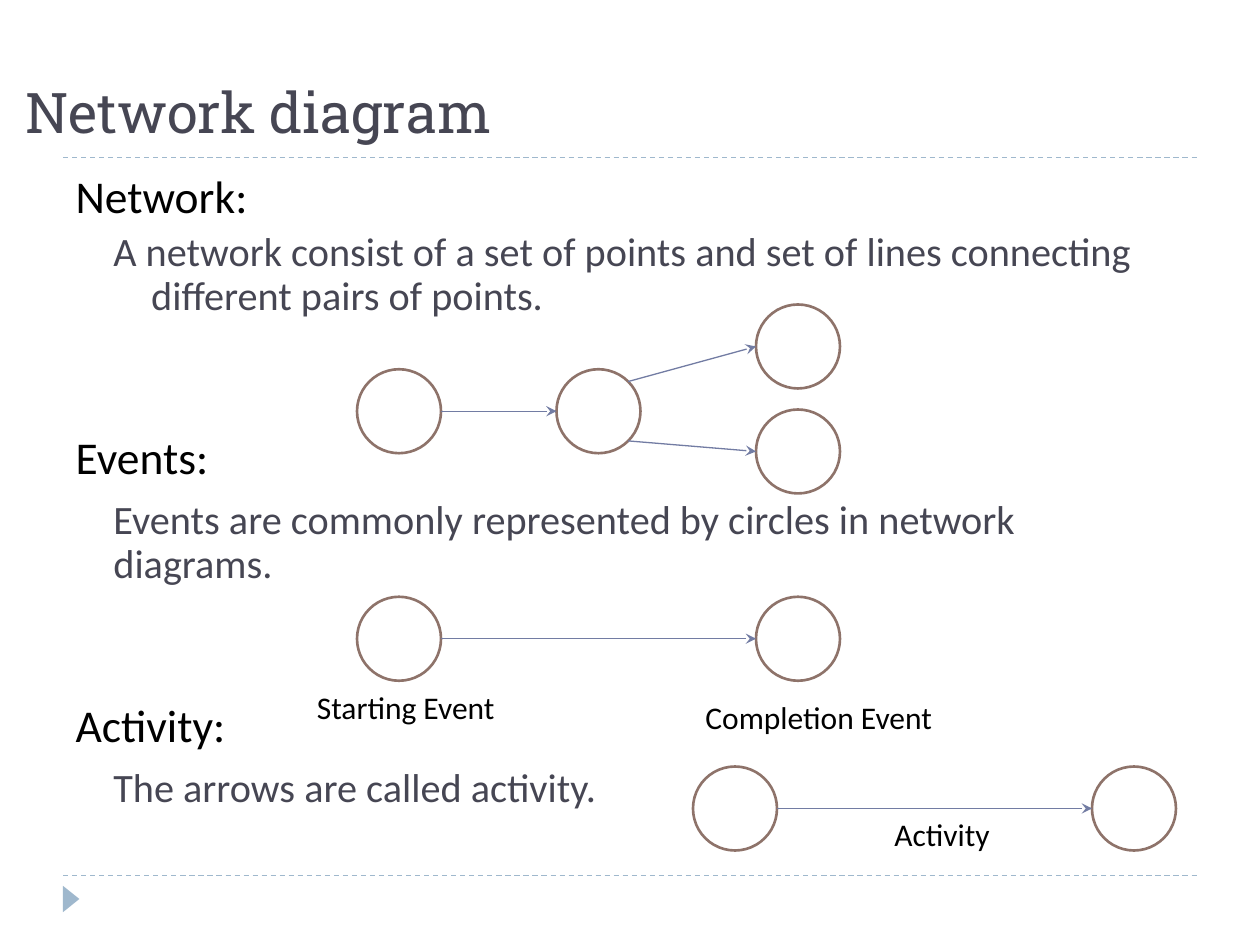
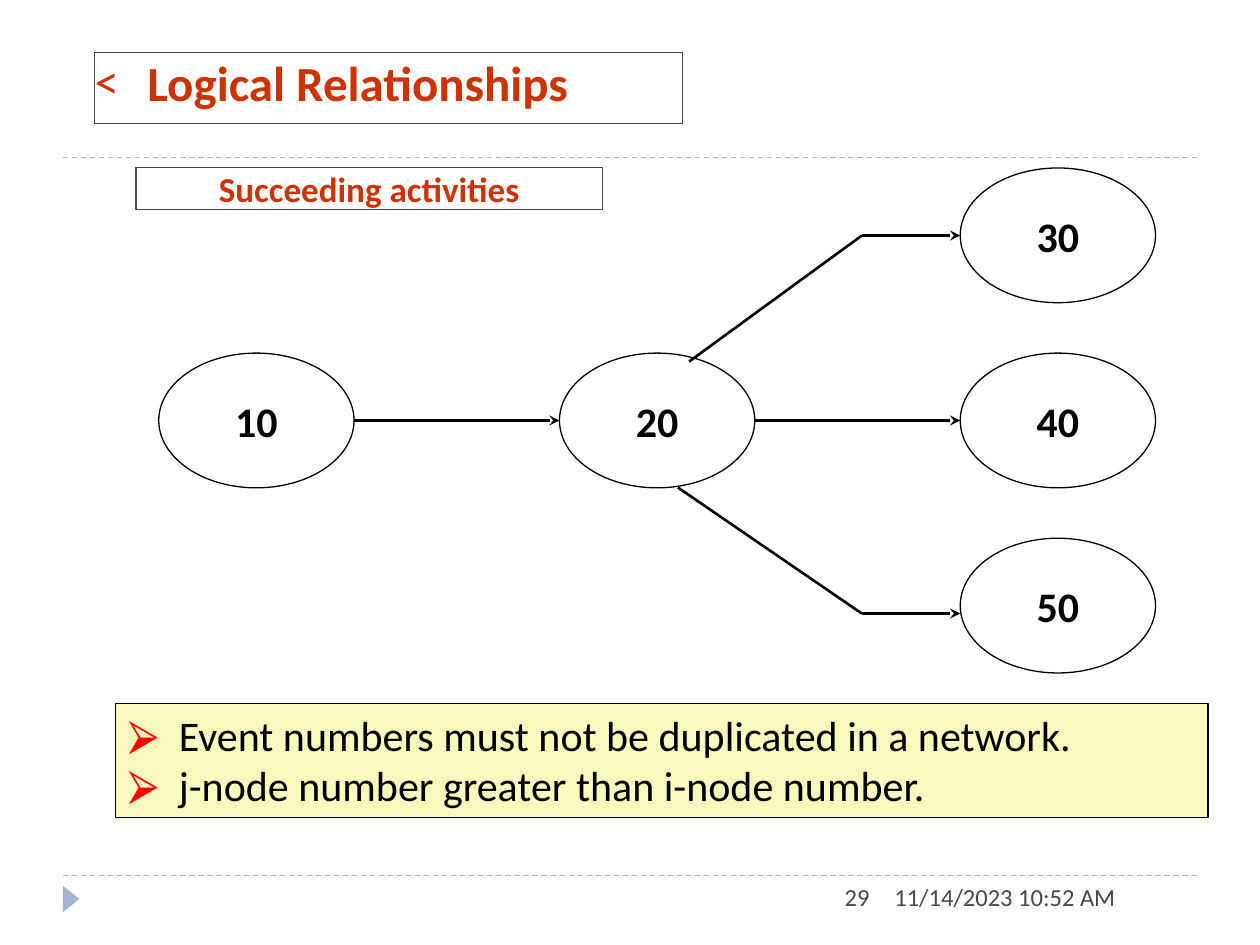
import pptx
import pptx.util
import pptx.dml.color
import pptx.enum.dml
import pptx.enum.shapes
import pptx.enum.text
import pptx.oxml.ns
import lxml.etree

Pt = pptx.util.Pt
Kind = pptx.enum.shapes.MSO_SHAPE
Align = pptx.enum.text.PP_ALIGN
Anchor = pptx.enum.text.MSO_ANCHOR

# Shared look
SLATE, SKY, BLACK, WHITE = "464653", "9FB8CD", "000000", "FFFFFF"
BROWN, INDIGO, RUST, RED, CREAM = "8E736A", "727CA3", "CC3300", "FF0000", "F8F9BD"
FONT, TITLE_FONT = "Calibri", "Roboto Slab"
INSET = (7.2, 3.6)

# Network diagram: term, explanation, hanging indent, space before explanation
TERMS = [
    ("Network:", "A network consist of a set of points and set of lines "
     "connecting different pairs of points.", 21.6, 5),
    ("Events:", "Events are commonly represented by circles in network diagrams.", 0, 9),
    ("Activity:", "The arrows are called activity.", 0, 9),
]
TERM_GAP = 66.5
CIRCLE = 48
CIRCLES = {
    "origin": (204, 211), "fork": (318, 211), "upper": (432, 174), "lower": (432, 234),
    "start": (204, 341), "completion": (432, 341),
    "before": (396, 438), "after": (624, 438),
}
# From circle, to circle, vertical direction of the leaving point
CIRCLE_ARROWS = [
    ("origin", "fork", 0), ("fork", "upper", -1), ("fork", "lower", 1),
    ("start", "completion", 0), ("before", "after", 0),
]
LABELS = [
    ("Starting Event", (174, 389.5, 122, 29)),
    ("Completion Event", (396, 395.5, 154, 29)),
    ("Activity", (504, 462, 76, 29)),
]

# Logical relationships: number -> column, row
EVENTS = {"10": (0, 1), "20": (1, 1), "30": (2, 0), "40": (2, 1), "50": (2, 2)}
EVENT_LEFT, EVENT_TOP, EVENT_WIDTH, EVENT_HEIGHT = 90.7, 96, 111.6, 77
COLUMN_STEP, ROW_STEP = 229, 105.8
STRAIGHT_ARROWS = [("10", "20"), ("20", "40")]
BEND_X = 492.5
# Leaving point of each bent arrow and the height where it arrives
BENT_ARROWS = [((393.8, 206.6), 134.6), ((387.4, 278.6), 350.6)]
RULES = [
    "Event numbers must not be duplicated in a network.",
    "j-node number greater than i-node number.",
]
FOOTERS = [
    ("11/14/2023 10:52 AM", (504, 500.4, 180, 28.8), Align.LEFT),
    ("29", (228, 500.4, 276, 28.8), Align.RIGHT),
]


def color(hex_text):
    return pptx.dml.color.RGBColor.from_string(hex_text)


def place(shape, box):
    shape.left, shape.top, shape.width, shape.height = map(Pt, box)


def paint(shape, fill, line=None, width=0.75):
    shape.fill.solid()
    shape.fill.fore_color.rgb = color(fill)
    if line:
        shape.line.color.rgb = color(line)
        shape.line.width = Pt(width)
    else:
        shape.line.fill.background()


def add_shape(slide, kind, box, fill, line=None, width=0.75):
    shape = slide.shapes.add_shape(kind, *map(Pt, box))
    shape.shadow.inherit = False
    paint(shape, fill, line, width)
    return shape


def add_line(slide, start, end, line, width, arrow=True, dashed=False):
    connector = slide.shapes.add_connector(
        pptx.enum.shapes.MSO_CONNECTOR.STRAIGHT, *map(Pt, start + end))
    connector.line.color.rgb = color(line)
    connector.line.width = Pt(width)
    if dashed:
        connector.line.dash_style = pptx.enum.dml.MSO_LINE.DASH
    properties = connector.element.spPr
    if arrow:
        outline = properties.find(pptx.oxml.ns.qn("a:ln"))
        lxml.etree.SubElement(outline, pptx.oxml.ns.qn("a:tailEnd"), type="stealth")
    lxml.etree.SubElement(properties, pptx.oxml.ns.qn("a:effectLst"))


def prepare(shape, inset=INSET, anchor=Anchor.TOP):
    frame = shape.text_frame
    frame.auto_size = pptx.enum.text.MSO_AUTO_SIZE.NONE
    frame.word_wrap = True
    frame.vertical_anchor = anchor
    frame.margin_left = frame.margin_right = Pt(inset[0])
    frame.margin_top = frame.margin_bottom = Pt(inset[1])
    return frame


def write(frame, text, size, ink=BLACK, bold=False, font=FONT, align=Align.LEFT,
          before=0, spacing=1.0, margin=0, indent=0, bullet=None, bullet_ink=None):
    paragraph = frame.paragraphs[0]
    if paragraph.runs:
        paragraph = frame.add_paragraph()
    paragraph.alignment = align
    paragraph.space_before = Pt(before)
    paragraph.line_spacing = spacing
    run = paragraph.add_run()
    run.text = text
    run.font.name, run.font.size, run.font.bold = font, Pt(size), bold
    run.font.color.rgb = color(ink)

    # Indents and bullet
    qn = pptx.oxml.ns.qn
    properties = paragraph._p.get_or_add_pPr()
    properties.set("marL", str(Pt(margin)))
    properties.set("indent", str(Pt(indent)))
    if bullet:
        bullet_color = lxml.etree.SubElement(properties, qn("a:buClr"))
        lxml.etree.SubElement(bullet_color, qn("a:srgbClr"), val=bullet_ink)
        lxml.etree.SubElement(properties, qn("a:buFont"), typeface=FONT)
        lxml.etree.SubElement(properties, qn("a:buChar"), char=bullet)
    else:
        lxml.etree.SubElement(properties, qn("a:buNone"))


def new_slide(presentation, title_box, body_box):
    slide = presentation.slides.add_slide(presentation.slide_layouts[1])
    title, body = slide.shapes.title, slide.placeholders[1]
    place(title, title_box)
    place(body, body_box)
    for y in (90, 500.4):
        add_line(slide, (36, y), (684, y), SKY, 0.75, arrow=False, dashed=True)
    marker = add_shape(slide, Kind.ISOSCELES_TRIANGLE, (33.1, 509, 15.1, 9.4), SKY)
    marker.rotation = 90
    return slide, title, body


def add_label(slide, text, box, size, ink, align=Align.LEFT):
    label = slide.shapes.add_textbox(*map(Pt, box))
    write(prepare(label), text, size, ink, align=align)


def build_network_diagram(presentation):
    slide, title, body = new_slide(
        presentation, (7.2, 8.6, 648, 77.8), (36, 95.8, 648, 388.8))
    write(prepare(title, anchor=Anchor.BOTTOM), "Network diagram", 32, SLATE,
          font=TITLE_FONT)

    # Terms and explanations
    frame = prepare(body)
    for index, (term, explanation, hanging, gap) in enumerate(TERMS):
        write(frame, term, 26, before=TERM_GAP if index else 0, spacing=0.9,
              margin=21.6, indent=-21.6)
        write(frame, explanation, 23, SLATE, before=gap, spacing=0.9,
              margin=21.6 + hanging, indent=-hanging)

    # Circles, arrows between them and labels
    for left, top in CIRCLES.values():
        add_shape(slide, Kind.OVAL, (left, top, CIRCLE, CIRCLE), WHITE, BROWN, 1.5)
    radius = CIRCLE / 2
    diagonal = radius * 0.5 ** 0.5
    for source, target, direction in CIRCLE_ARROWS:
        left, top = CIRCLES[source]
        reach = diagonal if direction else radius
        start = (left + radius + reach, top + radius + direction * diagonal)
        target_left, target_top = CIRCLES[target]
        add_line(slide, start, (target_left, target_top + radius), INDIGO, 0.75)
    for text, box in LABELS:
        add_label(slide, text, box, 18, BLACK)


def build_logical_relationships(presentation):
    slide, title, body = new_slide(
        presentation, (54, 30.2, 336, 40.3), (66.2, 401.8, 624.2, 65.5))
    paint(title, WHITE, SLATE)
    write(prepare(title, (0, 0)), "Logical Relationships", 28, RUST, bold=True,
          margin=30.2, indent=-30.2, bullet="<", bullet_ink=RUST)

    # Numbering rules
    paint(body, CREAM, BLACK)
    frame = prepare(body)
    for rule in RULES:
        write(frame, rule, 24, align=Align.JUSTIFY, margin=28.8, indent=-28.8,
              bullet="⮚", bullet_ink=RED)

    caption = add_shape(slide, Kind.RECTANGLE, (77.8, 95.8, 266.4, 24), WHITE, SLATE)
    write(prepare(caption, (0, 0)), "Succeeding activities", 20, RUST, bold=True,
          align=Align.CENTER)

    # Numbered events on a grid
    corners = {}
    for number, (column, row) in EVENTS.items():
        corners[number] = (EVENT_LEFT + column * COLUMN_STEP, EVENT_TOP + row * ROW_STEP)
        event = add_shape(slide, Kind.OVAL, corners[number] + (EVENT_WIDTH, EVENT_HEIGHT),
                          WHITE, BLACK)
        write(prepare(event, (0, 0), Anchor.MIDDLE), number, 24, bold=True,
              align=Align.CENTER)

    # Straight and bent arrows
    for source, target in STRAIGHT_ARROWS:
        y = corners[source][1] + EVENT_HEIGHT / 2
        add_line(slide, (corners[source][0] + EVENT_WIDTH, y), (corners[target][0], y),
                 BLACK, 1.5)
    for start, y in BENT_ARROWS:
        add_line(slide, start, (BEND_X, y), BLACK, 1.5, arrow=False)
        add_line(slide, (BEND_X, y), (corners["30"][0], y), BLACK, 1.5)

    for text, box, align in FOOTERS:
        add_label(slide, text, box, 14, SLATE, align)


def main():
    presentation = pptx.Presentation()
    presentation.slide_width, presentation.slide_height = Pt(720), Pt(540)
    build_network_diagram(presentation)
    build_logical_relationships(presentation)
    presentation.save("out.pptx")


if __name__ == "__main__":
    main()
